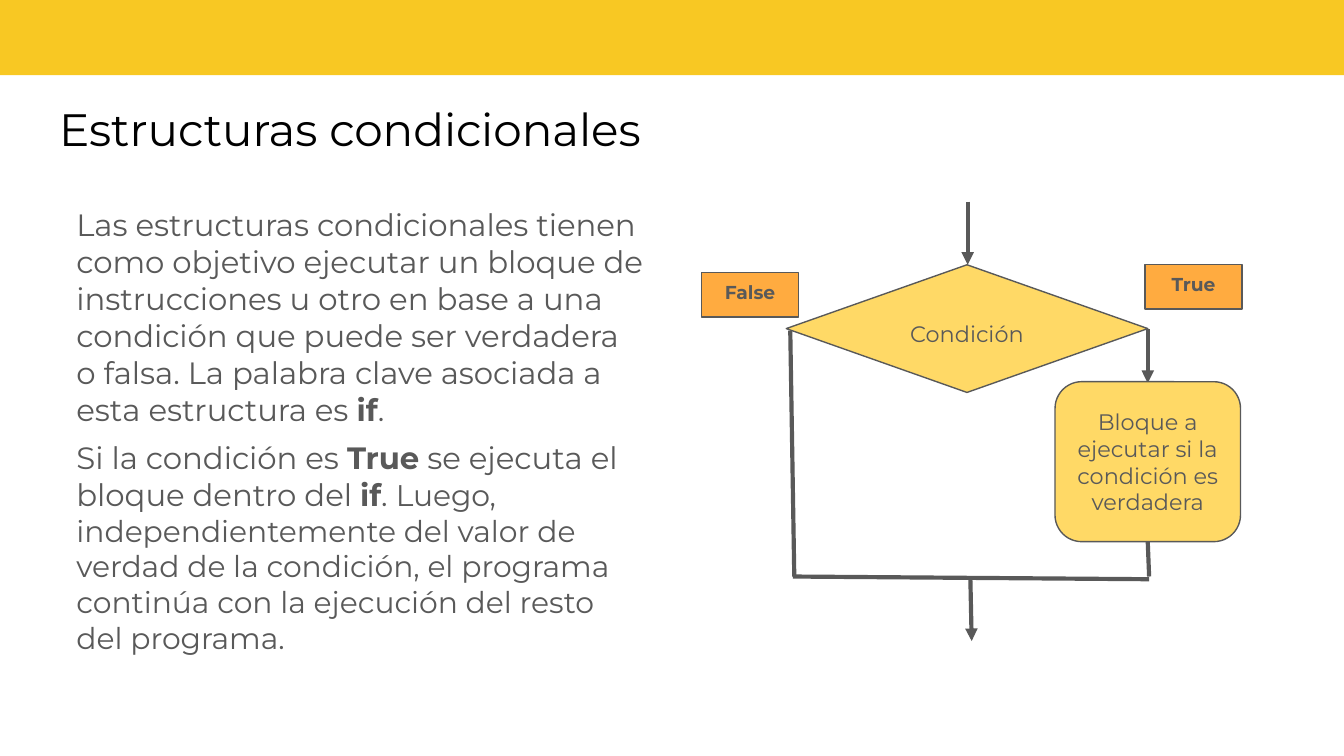
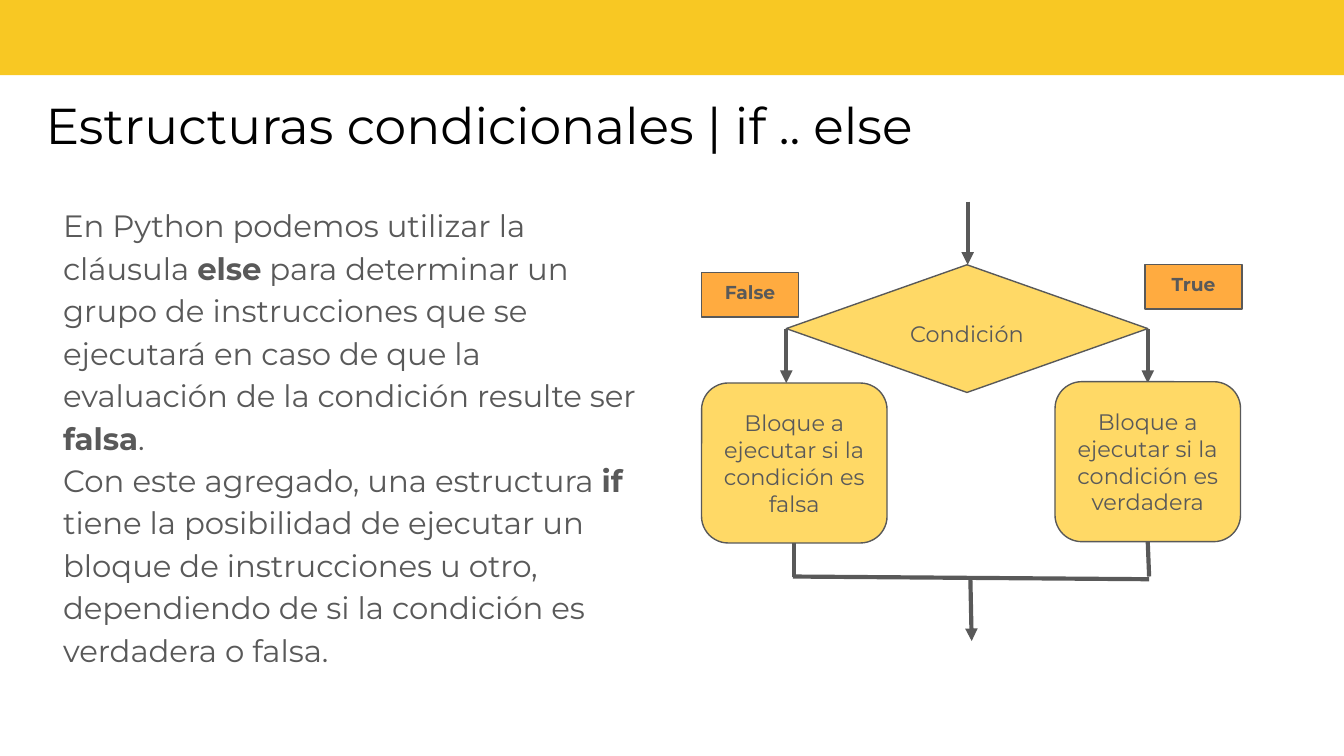
from dataclasses import dataclass

from lxml import etree
from pptx import Presentation
from pptx import util as u
from pptx.dml.color import RGBColor
from pptx.enum import shapes, text
from pptx.oxml import ns

# Shared style
FONT = "Montserrat"
BAND = RGBColor(0xF8, 0xC8, 0x23)
STEP = RGBColor(0xFF, 0xD9, 0x66)
TAG = RGBColor(0xFF, 0xAB, 0x40)
GREY = RGBColor(0x59, 0x59, 0x59)
BLACK = RGBColor(0, 0, 0)
SHAPE = shapes.MSO_SHAPE
ANCHOR = text.MSO_ANCHOR

# Square grid: 100 columns by 56.25 rows (16:9)
CELL = u.Inches(0.1)
COLS, ROWS = 100, 56.25


def cells(*values):
    return [round(v * CELL) for v in values]


@dataclass
class Box:
    x: float
    y: float
    w: float
    h: float

    def place(self):
        return cells(self.x, self.y, self.w, self.h)

    def inner(self, x, y, w, h):
        return Box(self.x + x, self.y + y, w, h)


TITLE = Box(3.4, 6.5, 93, 6.3)
DIAGRAM = Box(52.2, 15, 40.2, 32.7)


def set_frame(tf, anchor, side=1, edge=1):
    tf.word_wrap = True
    tf.auto_size = text.MSO_AUTO_SIZE.NONE
    tf.vertical_anchor = anchor
    tf.margin_left, tf.margin_right, tf.margin_top, tf.margin_bottom = cells(side, side, edge, edge)


def set_font(p, size, color=GREY, bold=False):
    p.font.name, p.font.size, p.font.bold = FONT, u.Pt(size), bold
    p.font.color.rgb = color


def add_runs(p, marked, size):
    """Write text where **...** is bold and a newline is a line break."""
    for i, part in enumerate(marked.split("**")):
        for j, line in enumerate(part.split("\n")):
            if j:
                p.add_line_break()
            if line:
                r = p.add_run()
                r.text = line
                r.font.size = u.Pt(size)
                if i % 2:
                    r.font.bold = True


def add_box(s, kind, box, fill, label="", size=12, bold=False, anchor=ANCHOR.BOTTOM, edge=1):
    sp = s.shapes.add_shape(kind, *box.place())
    sp.shadow.inherit = False
    sp.fill.solid()
    sp.fill.fore_color.rgb = fill
    if not label:
        sp.line.fill.background()
        return
    sp.line.color.rgb, sp.line.width = GREY, u.Pt(0.75)
    set_frame(sp.text_frame, anchor, edge=edge)
    p = sp.text_frame.paragraphs[0]
    p.text = label
    p.alignment = text.PP_ALIGN.CENTER
    set_font(p, size, bold=bold)


def add_line(s, box, x1, y1, x2, y2, arrow=False):
    ends = cells(box.x + x1, box.y + y1, box.x + x2, box.y + y2)
    line = s.shapes.add_connector(shapes.MSO_CONNECTOR.STRAIGHT, *ends)
    line.line.color.rgb, line.line.width = GREY, u.Pt(2.25)
    if arrow:
        etree.SubElement(line.line._get_or_add_ln(), ns.qn("a:tailEnd"), type="triangle")
    etree.SubElement(line._element.spPr, ns.qn("a:effectLst"))


def add_header(s, box, title, size, side, spacing):
    # Band
    add_box(s, SHAPE.RECTANGLE, Box(-0.1, -0.5, COLS + 0.3, 6.1), BAND)
    # Title
    sp = s.shapes.title
    sp.left, sp.top, sp.width, sp.height = box.place()
    set_frame(sp.text_frame, ANCHOR.TOP, side)
    p = sp.text_frame.paragraphs[0]
    p.text = title
    p.alignment = text.PP_ALIGN.LEFT
    p.line_spacing = spacing
    set_font(p, size, BLACK)


def add_body(s, box, paragraphs, side, spacing):
    tf = s.shapes.add_textbox(*box.place()).text_frame
    set_frame(tf, ANCHOR.TOP, side)
    for i, parts in enumerate(paragraphs):
        p = tf.add_paragraph() if i else tf.paragraphs[0]
        if i:
            p.space_before = u.Pt(6)
        p.line_spacing = spacing
        set_font(p, 16.5)
        for marked, size in parts:
            add_runs(p, marked, size)


def add_block(s, box, x, y, outcome):
    add_box(s, SHAPE.FLOWCHART_ALTERNATE_PROCESS, box.inner(x, y, 13.8, 11.9), STEP,
            f"Bloque a ejecutar si la condición es {outcome}", anchor=ANCHOR.MIDDLE, edge=0.5)


def add_flowchart(s, box, has_else):
    # Condition
    add_box(s, SHAPE.FLOWCHART_DECISION, box.inner(6.3, 4.7, 26.9, 9.5), STEP, "Condición")
    add_line(s, box, 19.8, 0, 19.8, 4.7, arrow=True)
    # True branch
    add_line(s, box, 33.2, 9.5, 33.2, 13.5, arrow=True)
    add_line(s, box, 33.2, 25.3, 33.3, 27.9)
    add_block(s, box, 26.3, 13.4, "verdadera")
    # False branch
    if has_else:
        add_line(s, box, 6.3, 9.5, 6.3, 13.5, arrow=True)
        add_line(s, box, 6.9, 25.3, 6.9, 27.9)
        add_block(s, box, 0, 13.5, "falsa")
    else:
        add_line(s, box, 6.6, 9.6, 6.9, 27.9)
    # Join and exit
    add_line(s, box, 33.3, 28.1, 6.8, 27.9)
    add_line(s, box, 20, 27.9, 20.1, 32.7, arrow=True)
    # Branch tags
    for label, x, y in (("True", 33, 4.7), ("False", 0, 5.3)):
        add_box(s, SHAPE.RECTANGLE, box.inner(x, y, 7.2, 3.3), TAG, label, 10, True)


def add_slide(prs, title, title_size, body_box, paragraphs, side=1,
              title_spacing=1.0, body_spacing=1.0, has_else=False):
    s = prs.slides.add_slide(prs.slide_layouts[5])
    add_header(s, TITLE, title, title_size, side, title_spacing)
    add_body(s, body_box, paragraphs, side, body_spacing)
    add_flowchart(s, DIAGRAM, has_else)


def main():
    prs = Presentation()
    prs.slide_width, prs.slide_height = cells(COLS, ROWS)

    add_slide(prs, "Estructuras condicionales", 24.3, Box(4.7, 14.3, 44.2, 36.1), [
        [("Las estructuras condicionales tienen como objetivo ejecutar un bloque de "
          "instrucciones u otro en base a una condición que puede ser verdadera o falsa. "
          "La palabra clave asociada a esta estructura es **if**.", 16.5)],
        [("Si la condición es **True** se ejecuta el bloque dentro del **if**. ", 16.5),
         ("Luego, independientemente del valor de verdad de la condición, el programa "
          "continúa con la ejecución del resto del programa.", 16)],
    ])

    add_slide(prs, "Estructuras condicionales | if .. else", 27, Box(4.7, 14, 43.8, 35.8), [
        [("En Python podemos utilizar la cláusula **else** para determinar un grupo de "
          "instrucciones que se ejecutará en caso de que la evaluación de la condición "
          "resulte ser **falsa**. \nCon este agregado, una estructura **if** tiene la "
          "posibilidad de ejecutar un bloque de instrucciones u otro, dependiendo de si "
          "la condición es verdadera o falsa.", 16.5)],
    ], side=0, title_spacing=0.9, body_spacing=1.15, has_else=True)

    prs.save("out.pptx")


if __name__ == "__main__":
    main()
